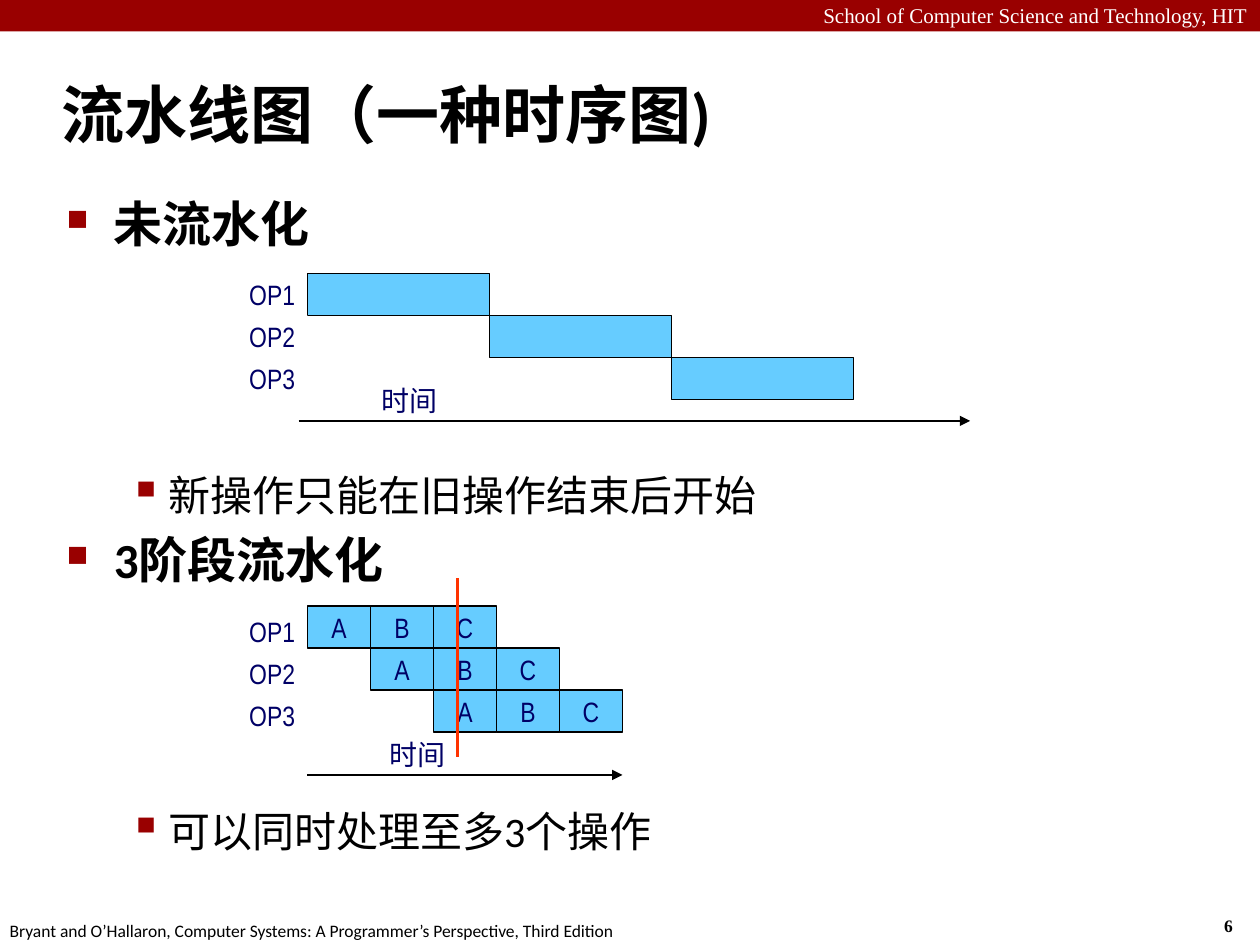
from dataclasses import dataclass

from lxml.etree import SubElement
from pptx import Presentation
from pptx.dml.color import RGBColor
from pptx.enum.shapes import MSO_CONNECTOR, MSO_SHAPE
from pptx.enum.text import MSO_ANCHOR, PP_ALIGN
from pptx.oxml.ns import qn
from pptx.util import Pt

CRIMSON, BLACK, WHITE = "990000", "000000", "FFFFFF"
NAVY, SKY, ORANGE = "000066", "66CCFF", "FF3300"
ROW_HEIGHT = 24
CHART_LEFT = 175.7
LABEL_LEFT, LABEL_WIDTH = 126, 49.7


@dataclass(frozen=True)
class Box:
    left: float
    top: float
    width: float
    height: float

    def lengths(self) -> tuple:
        return Pt(self.left), Pt(self.top), Pt(self.width), Pt(self.height)


@dataclass(frozen=True)
class Style:
    size: float
    font: str = "Calibri"
    color: str = BLACK
    bold: bool = False
    align: PP_ALIGN = PP_ALIGN.LEFT
    anchor: MSO_ANCHOR = MSO_ANCHOR.TOP
    wrap: bool = False


@dataclass(frozen=True)
class Bullet:
    text: str
    char: str
    char_percent: int
    margin: float
    hanging: float
    size: float
    bold: bool
    space_before: float


@dataclass(frozen=True)
class Timeline:
    top: float
    label_top: float
    stages: str
    stage_width: float
    row_shift: float
    axis_left: float
    axis_right: float
    axis_y: float
    caption_left: float


def rgb(value: str) -> RGBColor:
    return RGBColor.from_string(value)


def write(frame, text: str, style: Style) -> None:
    frame.word_wrap = style.wrap
    frame.vertical_anchor = style.anchor
    paragraph = frame.paragraphs[0]
    paragraph.text = text
    paragraph.alignment = style.align
    set_font(paragraph.font, style)


def set_font(font, style: Style) -> None:
    font.name, font.size, font.bold = style.font, Pt(style.size), style.bold
    font.color.rgb = rgb(style.color)


def add_text(slide, box: Box, text: str, style: Style) -> None:
    write(slide.shapes.add_textbox(*box.lengths()).text_frame, text, style)


def add_rect(slide, box: Box, fill: str, outlined: bool = False,
             text: str = "", align: PP_ALIGN = PP_ALIGN.CENTER) -> None:
    rect = slide.shapes.add_shape(MSO_SHAPE.RECTANGLE, *box.lengths())
    rect.shadow.inherit = False
    rect.fill.solid()
    rect.fill.fore_color.rgb = rgb(fill)
    if outlined:
        rect.line.color.rgb = rgb(BLACK)
        rect.line.width = Pt(0.75)
    else:
        rect.line.fill.background()
    if text:
        write(rect.text_frame, text,
              Style(16, "Arial Narrow", NAVY, align=align, anchor=MSO_ANCHOR.MIDDLE))


def add_line(slide, start: tuple[float, float], end: tuple[float, float],
             color: str, width: float, arrow: bool = False) -> None:
    line = slide.shapes.add_connector(
        MSO_CONNECTOR.STRAIGHT, *(Pt(value) for value in (*start, *end)))
    line.line.color.rgb = rgb(color)
    line.line.width = Pt(width)
    if arrow:
        SubElement(line.line._get_or_add_ln(), qn("a:tailEnd"), type="triangle")
    SubElement(line._element.spPr, qn("a:effectLst"))


def add_bullets(slide, box: Box, bullets: list[Bullet]) -> None:
    frame = slide.shapes.add_textbox(*box.lengths()).text_frame
    frame.word_wrap = True
    for index, bullet in enumerate(bullets):
        paragraph = frame.add_paragraph() if index else frame.paragraphs[0]
        paragraph.text = bullet.text
        properties = paragraph._p.get_or_add_pPr()
        properties.set("marL", str(Pt(bullet.margin)))
        properties.set("indent", str(-Pt(bullet.hanging)))
        bullet_color = SubElement(properties, qn("a:buClr"))
        SubElement(bullet_color, qn("a:srgbClr"), val=CRIMSON)
        SubElement(properties, qn("a:buSzPct"), val=str(bullet.char_percent * 1000))
        SubElement(properties, qn("a:buChar"), char=bullet.char)
        if index:
            paragraph.space_before = Pt(bullet.space_before)
        set_font(paragraph.font, Style(bullet.size, bold=bullet.bold))


def topic(text: str) -> Bullet:
    return Bullet(text, "■", 60, 27, 27, 28, True, 5.6)


def remark(text: str) -> Bullet:
    return Bullet(text, "▪", 110, 58, 22.5, 24, False, 124)


def add_timeline(slide, chart: Timeline) -> None:
    add_line(slide, (chart.axis_left, chart.axis_y), (chart.axis_right, chart.axis_y),
             BLACK, 1, arrow=True)
    add_text(slide, Box(chart.caption_left, chart.axis_y - 25, 47, 26.6), "时间",
             Style(16, "Arial", NAVY))
    for row in range(3):
        offset = row * ROW_HEIGHT
        add_rect(slide, Box(LABEL_LEFT, chart.label_top + offset, LABEL_WIDTH, ROW_HEIGHT),
                 WHITE, text=f"OP{row + 1}", align=PP_ALIGN.RIGHT)
        for column, stage in enumerate(chart.stages):
            left = CHART_LEFT + row * chart.row_shift + column * chart.stage_width
            add_rect(slide, Box(left, chart.top + offset, chart.stage_width, ROW_HEIGHT),
                     SKY, outlined=True, text=stage.strip())


def main() -> None:
    presentation = Presentation()
    presentation.slide_width, presentation.slide_height = Pt(720), Pt(540)
    slide = presentation.slides.add_slide(presentation.slide_layouts[6])

    add_rect(slide, Box(0, 0, 720, 18), CRIMSON)
    add_text(slide, Box(0, -2, 720, 21.6), "School of Computer Science and Technology, HIT",
             Style(12, "Times New Roman", WHITE, align=PP_ALIGN.RIGHT, wrap=True))
    add_text(slide, Box(692.5, 519.3, 26.6, 19.4), "6",
             Style(10, "Times New Roman", bold=True))
    add_text(slide, Box(-1.5, 522, 366, 19.4),
             "Bryant and O’Hallaron, Computer Systems: A Programmer’s Perspective, Third Edition",
             Style(10))
    add_text(slide, Box(28, 34.5, 692, 60), "流水线图（一种时序图)",
             Style(36, bold=True, anchor=MSO_ANCHOR.MIDDLE, wrap=True))
    add_bullets(slide, Box(31, 107.3, 677, 414.7), [
        topic("未流水化"),
        remark("新操作只能在旧操作结束后开始"),
        topic("3阶段流水化"),
        remark("可以同时处理至多3个操作"),
    ])

    add_timeline(slide, Timeline(156.2, 156.2, " ", 104, 104, 170.6, 554.4, 240.5, 211))
    add_timeline(slide, Timeline(346.3, 348.5, "ABC", 36, 36, CHART_LEFT, 355.7, 442.8, 215.3))
    add_line(slide, (261.4, 330.5), (261.4, 432.7), ORANGE, 1.5)

    presentation.save("out.pptx")


if __name__ == "__main__":
    main()
